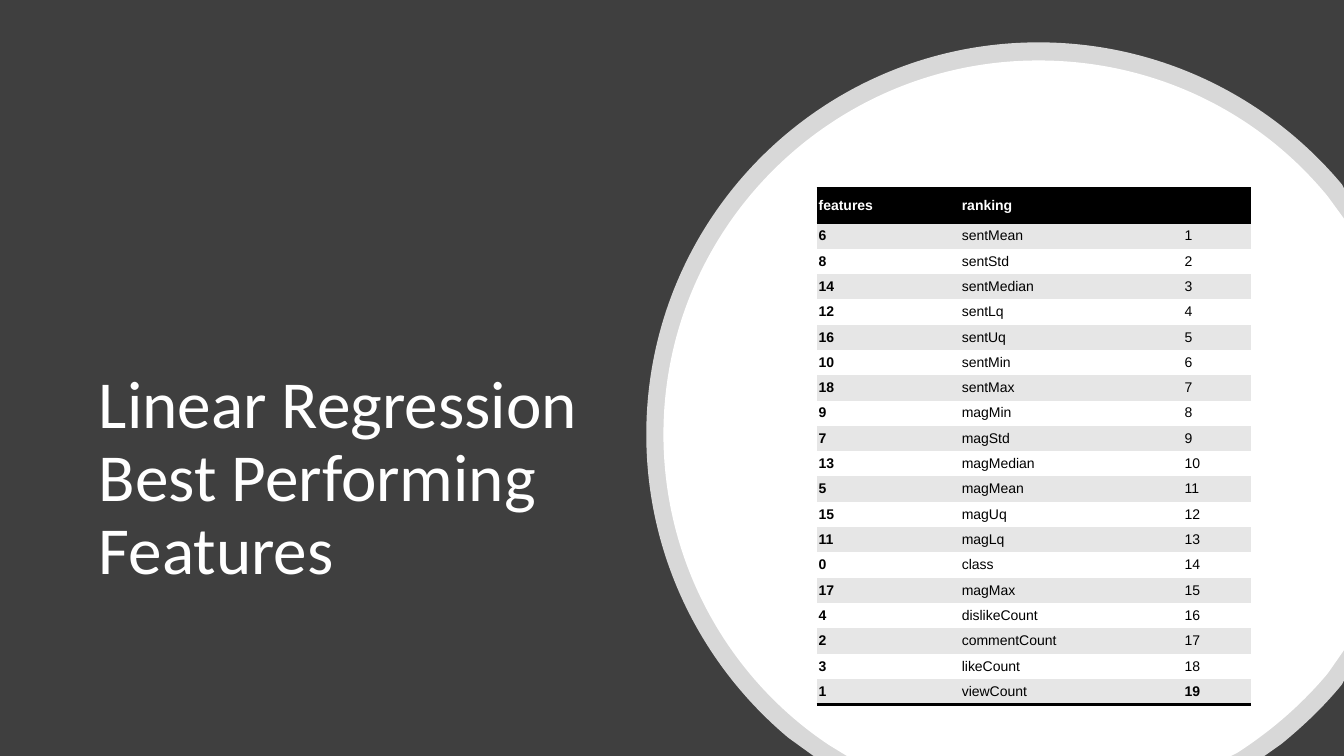
from typing import NamedTuple

from lxml.etree import SubElement
from pptx import Presentation
from pptx.dml.color import RGBColor
from pptx.enum.shapes import MSO_SHAPE
from pptx.enum.text import MSO_ANCHOR, MSO_AUTO_SIZE, PP_ALIGN
from pptx.oxml import parse_xml
from pptx.oxml.ns import nsdecls, qn
from pptx.util import Inches, Pt

WIDTH, HEIGHT = 13.33, 7.5
TABLE_HEIGHT = 5.03
COLUMN_WIDTHS = (1.42, 2.21, 0.68)
NO_STYLE = "{2D5ABB26-0587-4C30-8999-92F81FD0307C}"

Point = tuple[float, float]


class Disc(NamedTuple):
    opacity: int
    start: Point
    segments: tuple[tuple[Point, ...], ...]


class Feature(NamedTuple):
    number: int
    name: str


DISCS = (
    Disc(80, (10.3, 0.42), (
        ((11.51, 0.42), (12.59, 0.97), (13.31, 1.83)),
        ((WIDTH, 1.87),),
        ((WIDTH, 6.75),),
        ((13.31, 6.79),),
        ((13.13, 7.01), (12.93, 7.2), (12.71, 7.38)),
        ((12.54, HEIGHT),),
        ((8.07, HEIGHT),),
        ((7.82, 7.32),),
        ((6.96, 6.6), (6.41, 5.52), (6.41, 4.31)),
        ((6.41, 2.16), (8.15, 0.42), (10.3, 0.42)),
    )),
    Disc(100, (10.3, 0.6), (
        ((11.46, 0.6), (12.49, 1.12), (13.17, 1.95)),
        ((WIDTH, 2.17),),
        ((WIDTH, 6.45),),
        ((13.17, 6.68),),
        ((12.91, 6.99), (12.61, 7.25), (12.27, 7.47)),
        ((12.21, HEIGHT),),
        ((8.4, HEIGHT),),
        ((8.22, 7.39),),
        ((7.23, 6.73), (6.58, 5.59), (6.58, 4.31)),
        ((6.58, 2.26), (8.25, 0.6), (10.3, 0.6)),
    )),
)
FEATURES = (
    Feature(6, "sentMean"), Feature(8, "sentStd"),
    Feature(14, "sentMedian"), Feature(12, "sentLq"),
    Feature(16, "sentUq"), Feature(10, "sentMin"),
    Feature(18, "sentMax"), Feature(9, "magMin"),
    Feature(7, "magStd"), Feature(13, "magMedian"),
    Feature(5, "magMean"), Feature(15, "magUq"),
    Feature(11, "magLq"), Feature(0, "class"),
    Feature(17, "magMax"), Feature(4, "dislikeCount"),
    Feature(2, "commentCount"), Feature(3, "likeCount"),
    Feature(1, "viewCount"),
)


def paint(fill, color: str) -> None:
    fill.solid()
    fill.fore_color.rgb = RGBColor.from_string(color)


def write(tf, text: str, *, size: float, font: str, color: str,
          bold: bool = False, spacing: float = 1.0) -> None:
    p = tf.paragraphs[0]
    p.alignment = PP_ALIGN.LEFT
    p.line_spacing = spacing
    r = p.add_run()
    r.text = text
    r.font.name, r.font.size, r.font.bold = font, Pt(size), bold
    paint(r.font.fill, color)


def finish_shape(sp, color: str) -> None:
    sp.shadow.inherit = False
    paint(sp.fill, color)
    sp.line.fill.background()


def add_disc(s, disc: Disc) -> None:
    builder = s.shapes.build_freeform(*map(Inches, disc.start))
    builder.add_line_segments(
        [(Inches(x), Inches(y)) for seg in disc.segments for x, y in seg],
        close=True)
    sp = builder.convert_to_shape()
    finish_shape(sp, "FFFFFF")
    lines = iter(list(sp._element.iter(qn("a:lnTo"))))
    for segment in disc.segments:
        first, *others = [next(lines) for _ in segment]
        if others:
            first.tag = qn("a:cubicBezTo")
        for line in others:
            first.append(line[0])
            line.getparent().remove(line)
    if disc.opacity < 100:
        color = sp._element.spPr.find(qn("a:solidFill"))[0]
        SubElement(color, qn("a:alpha"), val=str(disc.opacity * 1000))


def add_border(cell, side: str) -> None:
    cell._tc.get_or_add_tcPr().append(parse_xml(
        f'<a:{side} {nsdecls("a")} w="{Pt(2)}"><a:solidFill>'
        f'<a:srgbClr val="000000"/></a:solidFill></a:{side}>'))


def add_title(s) -> None:
    sp = s.shapes.title
    sp.left, sp.top, sp.width, sp.height = map(Inches, (0.88, 3.63, 5, 2.27))
    tf = sp.text_frame
    tf.word_wrap = True
    tf.auto_size = MSO_AUTO_SIZE.NONE
    tf.vertical_anchor = MSO_ANCHOR.TOP
    write(tf, "Linear Regression Best Performing Features", size=48,
          font="Calibri", color="FFFFFF", spacing=0.9)


def add_ranking(s) -> None:
    rows = [("features", "ranking", "")]
    rows += [(str(f.number), f.name, str(rank))
             for rank, f in enumerate(FEATURES, 1)]
    last = len(rows) - 1
    table = s.shapes.add_table(
        len(rows), len(COLUMN_WIDTHS), Inches(8.1), Inches(1.87),
        Inches(sum(COLUMN_WIDTHS)), Inches(TABLE_HEIGHT)).table
    table.horz_banding = False
    table._tbl.tblPr.find(qn("a:tableStyleId")).text = NO_STYLE
    for column, width in zip(table.columns, COLUMN_WIDTHS):
        column.width = Inches(width)
    for i, values in enumerate(rows):
        header = i == 0
        for j, value in enumerate(values):
            cell = table.cell(i, j)
            cell.margin_left = cell.margin_right = Inches(0.02)
            cell.margin_top = cell.margin_bottom = Inches(0.02)
            cell.vertical_anchor = MSO_ANCHOR.MIDDLE
            if header:
                add_border(cell, "lnT")
            if i in (0, last):
                add_border(cell, "lnB")
            band = "E6E6E6" if i % 2 else "FFFFFF"
            paint(cell.fill, "000000" if header else band)
            if value:
                write(cell.text_frame, value, size=10, font="Arial",
                      color="FFFFFF" if header else "000000",
                      bold=header or j == 0 or (i == last and j == 2))


def main() -> None:
    prs = Presentation()
    prs.slide_width, prs.slide_height = Inches(WIDTH), Inches(HEIGHT)
    s = prs.slides.add_slide(prs.slide_layouts[5])
    backdrop = s.shapes.add_shape(
        MSO_SHAPE.RECTANGLE, 0, 0, prs.slide_width, prs.slide_height)
    finish_shape(backdrop, "3F3F3F")
    s.shapes.title._element.addprevious(backdrop._element)
    add_title(s)
    for disc in DISCS:
        add_disc(s, disc)
    add_ranking(s)
    prs.save("out.pptx")


if __name__ == "__main__":
    main()
